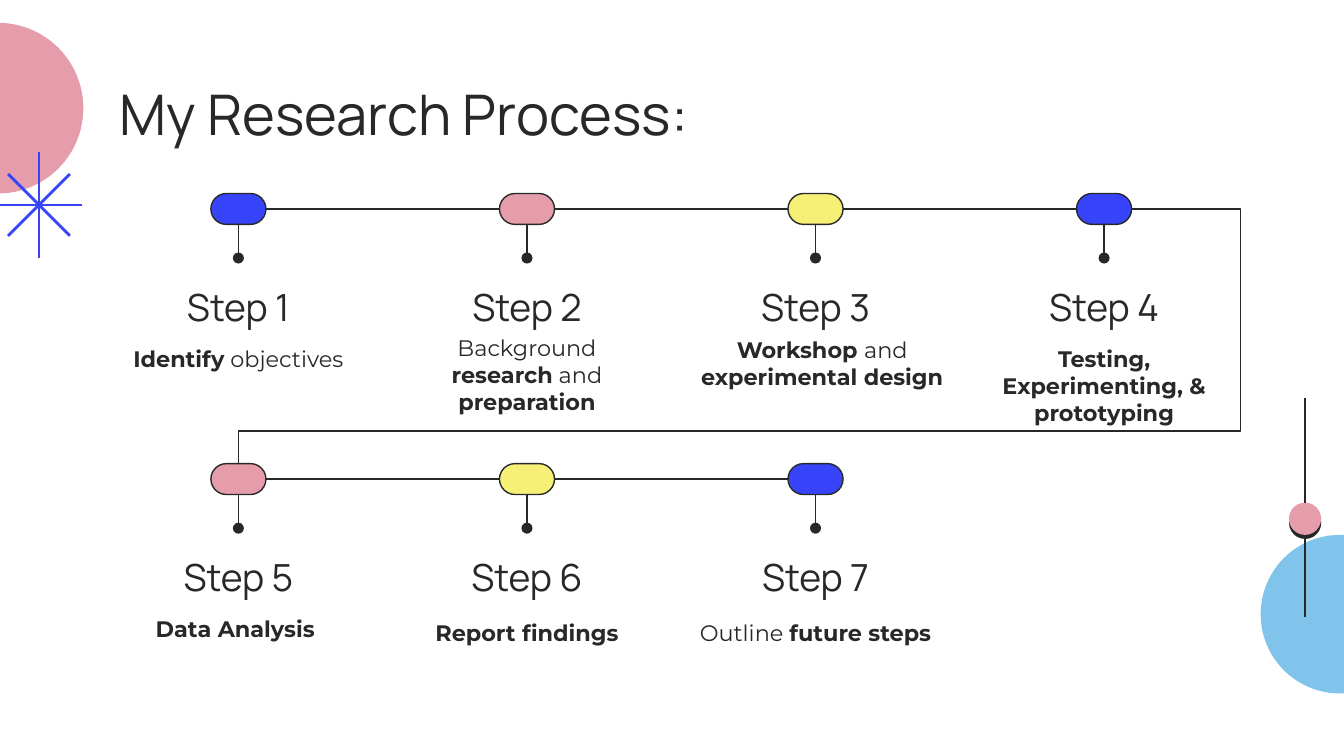
from dataclasses import dataclass
from itertools import pairwise

from lxml import etree
from pptx import Presentation
from pptx.dml.color import RGBColor
from pptx.enum.shapes import MSO_CONNECTOR, MSO_SHAPE
from pptx.enum.text import MSO_ANCHOR, MSO_AUTO_SIZE, PP_ALIGN
from pptx.oxml.ns import qn
from pptx.util import Emu, Inches, Pt

OVAL, PILL = MSO_SHAPE.OVAL, MSO_SHAPE.ROUNDED_RECTANGLE
STRAIGHT, ELBOW = MSO_CONNECTOR.STRAIGHT, MSO_CONNECTOR.ELBOW
TOP, BOTTOM = MSO_ANCHOR.TOP, MSO_ANCHOR.BOTTOM
LEFT, CENTER = PP_ALIGN.LEFT, PP_ALIGN.CENTER
NO_FIT = MSO_AUTO_SIZE.NONE

INK = RGBColor(0x26, 0x29, 0x28)
BLUE = RGBColor(0x38, 0x44, 0xF9)
PINK = RGBColor(0xE5, 0x9C, 0xAB)
YELLOW = RGBColor(0xF7, 0xF0, 0x77)
SKY = RGBColor(0x80, 0xC3, 0xEB)
HEADING, BODY = "Manrope", "Montserrat"

WIDTH, HEIGHT = Inches(10), Inches(5.625)
FIRST_CENTER, COL_PITCH = 17.74, 21.47
FIRST_TOP, ROW_PITCH = 14.4, 20.1
PILL_W, PILL_H = 4.1, 2.3
STEM_END = 4.8
SITE_TOP, SITE_LEFT, SITE_BOTTOM, SITE_RIGHT = range(4)


@dataclass(frozen=True)
class Run:
    text: str
    bold: bool = False


@dataclass(frozen=True)
class Step:
    col: int
    row: int
    fill: RGBColor
    runs: tuple[Run, ...]
    drop: float = 10.3
    width: float = 19.8
    shift: float = 0

    @property
    def center(self) -> float:
        return FIRST_CENTER + self.col * COL_PITCH

    @property
    def top(self) -> float:
        return FIRST_TOP + self.row * ROW_PITCH


STEPS = (
    Step(0, 0, BLUE, (Run("Identify", True), Run(" objectives"))),
    Step(1, 0, PINK, (Run("Background "), Run("research", True),
                      Run(" and "), Run("preparation", True)), drop=9.5),
    Step(2, 0, YELLOW, (Run("Workshop ", True), Run("and "),
                        Run("experimental design", True)),
         drop=9.6, width=22, shift=0.5),
    Step(3, 0, BLUE, (Run("Testing, Experimenting, & prototyping", True),)),
    Step(0, 1, PINK, (Run("Data Analysis ", True),)),
    Step(1, 1, YELLOW, (Run("Report findings", True),), drop=10.6),
    Step(2, 1, BLUE, (Run("Outline "), Run("future steps", True)), drop=10.6),
)


def share(percent: float) -> Emu:
    return Emu(round(WIDTH * percent / 100))


def add_solid(s, kind, x: float, y: float, w: float, h: float,
              fill: RGBColor, outline: RGBColor | None = None):
    sp = s.shapes.add_shape(kind, share(x), share(y), share(w), share(h))
    sp.shadow.inherit = False
    sp.fill.solid()
    sp.fill.fore_color.rgb = fill
    if kind == PILL:
        sp.adjustments[0] = 0.5
    if outline is None:
        sp.line.fill.background()
    else:
        sp.line.color.rgb = outline
        sp.line.width = Pt(0.75)
    return sp


def add_line(s, x1: float, y1: float, x2: float, y2: float,
             color: RGBColor = INK, weight: float = 0.75, kind=STRAIGHT):
    line = s.shapes.add_connector(kind, share(x1), share(y1), share(x2), share(y2))
    line.line.color.rgb = color
    line.line.width = Pt(weight)
    etree.SubElement(line._element.spPr, qn("a:effectLst"))
    return line


def add_link(s, start, start_site: int, end, end_site: int, kind=STRAIGHT):
    link = add_line(s, 0, 0, 1, 1, kind=kind)
    link.begin_connect(start, start_site)
    link.end_connect(end, end_site)
    return link


def format_frame(tf, anchor, align) -> None:
    tf.word_wrap = True
    tf.auto_size = NO_FIT
    tf.vertical_anchor = anchor
    tf.margin_left = tf.margin_right = tf.margin_top = tf.margin_bottom = share(1)
    tf.paragraphs[0].alignment = align


def format_run(r, font: str, size: float, bold: bool = False) -> None:
    r.font.name = font
    r.font.size = Pt(size)
    r.font.bold = bold
    r.font.color.rgb = INK


def add_text(s, x: float, y: float, w: float, h: float, runs: tuple[Run, ...],
             font: str, size: float, anchor=TOP) -> None:
    tf = s.shapes.add_textbox(share(x), share(y), share(w), share(h)).text_frame
    format_frame(tf, anchor, CENTER)
    for run in runs:
        r = tf.paragraphs[0].add_run()
        r.text = run.text
        format_run(r, font, size, run.bold)


def add_decoration(s) -> None:
    add_solid(s, OVAL, -6.5, 1.7, 12.7, 12.7, PINK)
    add_solid(s, PILL, 93.8, 39.8, 25.8, 11.8, SKY)
    x, y = 2.9, 15.25
    for dx, dy in ((0, 3.95), (3.2, 0), (2.3, 2.3), (2.3, -2.3)):
        add_line(s, x - dx, y - dy, x + dx, y + dy, BLUE, 1.5)
    bead = add_solid(s, OVAL, 95.9, 37.4, 2.4, 2.4, PINK)
    effects = bead._element.spPr.find(qn("a:effectLst"))
    shadow = etree.SubElement(effects, qn("a:outerShdw"), dist=str(Pt(2.2)),
                              dir=str(88 * 60000), algn="bl", rotWithShape="0")
    etree.SubElement(shadow, qn("a:srgbClr"), val=str(INK))
    for y1, y2 in ((29.6, 37.4), (39.8, 45.9)):
        add_line(s, 97.1, y1, 97.1, y2)


def add_title(s, text: str) -> None:
    title = s.shapes.title
    title.left, title.top = share(7.9), share(4.9)
    title.width, title.height = share(84.3), share(6.3)
    title.text_frame.text = text
    format_frame(title.text_frame, TOP, LEFT)
    format_run(title.text_frame.paragraphs[0].runs[0], HEADING, 30)


def add_step(s, step: Step, number: int):
    pill = add_solid(s, PILL, step.center - PILL_W / 2, step.top,
                     PILL_W, PILL_H, step.fill, INK)
    add_text(s, step.center - 9.9, step.top + STEM_END, 19.8, 6.3,
             (Run(f"Step {number}"),), HEADING, 20, BOTTOM)
    add_text(s, step.center + step.shift - step.width / 2, step.top + step.drop,
             step.width, 5.7, step.runs, BODY, 12)
    stem = add_line(s, step.center, step.top + PILL_H,
                    step.center, step.top + STEM_END)
    etree.SubElement(stem.line._get_or_add_ln(), qn("a:tailEnd"), type="oval")
    return pill


def add_row_return(s, start, end) -> None:
    link = add_link(s, start, SITE_RIGHT, end, SITE_TOP, ELBOW)
    geometry = link._element.spPr.find(qn("a:prstGeom"))
    geometry.set("prst", "bentConnector4")
    guides = geometry.find(qn("a:avLst"))
    if guides is None:
        guides = etree.SubElement(geometry, qn("a:avLst"))
    for name, value in (("adj1", -12200), ("adj2", 87200)):
        etree.SubElement(guides, qn("a:gd"), name=name, fmla=f"val {value}")


def main() -> None:
    prs = Presentation()
    prs.slide_width, prs.slide_height = WIDTH, HEIGHT
    s = prs.slides.add_slide(prs.slide_layouts.get_by_name("Title Only"))
    add_decoration(s)
    add_title(s, "My Research Process:")
    pills = [add_step(s, step, n) for n, step in enumerate(STEPS, 1)]
    for (a, start), (b, end) in pairwise(zip(STEPS, pills)):
        if a.row == b.row:
            add_link(s, start, SITE_RIGHT, end, SITE_LEFT)
        else:
            add_row_return(s, start, end)
    prs.save("out.pptx")


if __name__ == "__main__":
    main()
